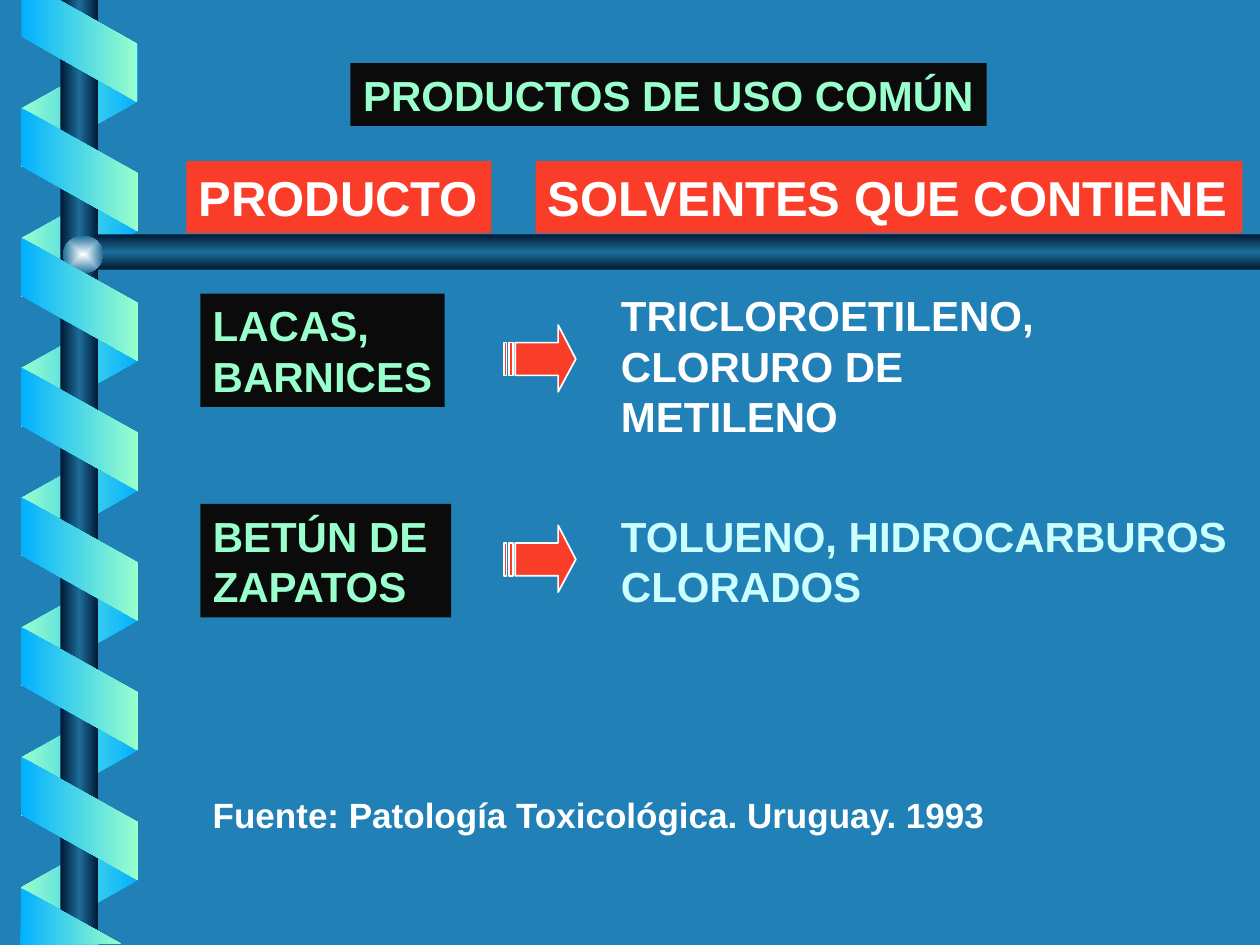
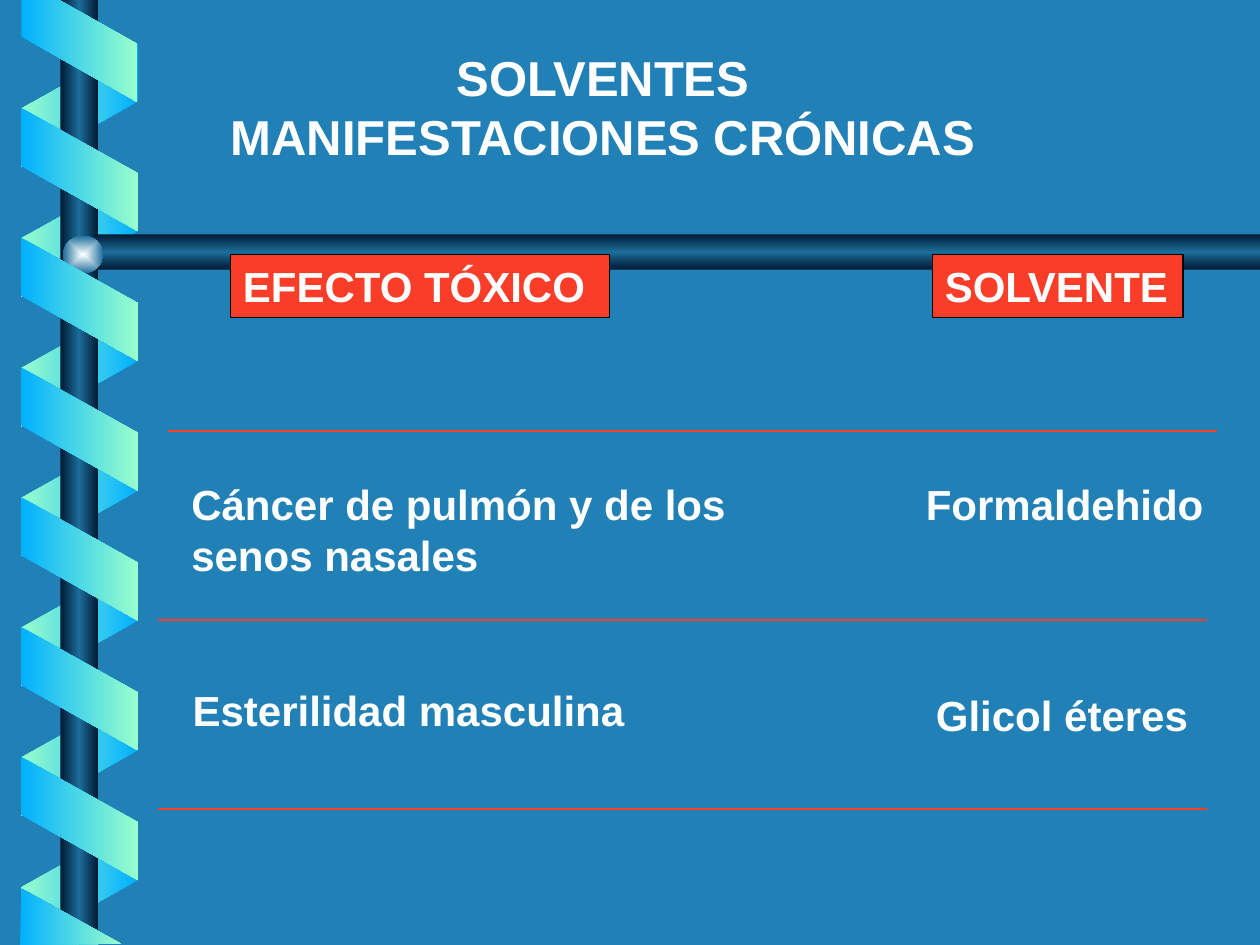
from pptx import Presentation
from pptx.dml.color import RGBColor
from pptx.enum.shapes import MSO_CONNECTOR, MSO_SHAPE
from pptx.enum.text import MSO_ANCHOR, MSO_AUTO_SIZE, PP_ALIGN
from pptx.oxml import parse_xml
from pptx.oxml.ns import nsdecls
from pptx.util import Pt
from lxml.etree import SubElement
from pptx.oxml.ns import qn

PX = 9144  # 100 px to the inch

WHITE = RGBColor(0xFF, 0xFF, 0xFF)
BLACK = RGBColor(0x00, 0x00, 0x00)
BLUE = RGBColor(0x21, 0x81, 0xB7)
INK = RGBColor(0x0B, 0x0B, 0x0B)
MINT = RGBColor(0x99, 0xFF, 0xCC)
ICE = RGBColor(0xCC, 0xFF, 0xFF)
RED = RGBColor(0xF9, 0x3D, 0x29)
SKY = RGBColor(0x01, 0xB0, 0xFF)
NAVY = RGBColor(0x00, 0x19, 0x32)
STEEL = RGBColor(0x1C, 0x6D, 0x9A)
PEARL = RGBColor(0xFE, 0xFF, 0xFF)

RIBBON = (SKY, MINT)
BEAM = (NAVY, STEEL, NAVY)
ACROSS = '<a:lin ang="0" scaled="0"/>'
DOWN = '<a:lin ang="5400000" scaled="0"/>'
CENTRE = ('<a:path path="rect"><a:fillToRect l="50000" t="50000" '
          'r="50000" b="50000"/></a:path>')


# Shapes and fills
def emu(*sizes):
    return [size * PX for size in sizes]


def shade(shape, colors, way):
    """Give a shape evenly spaced gradient stops and no outline."""
    step = 100000 // (len(colors) - 1)
    stops = "".join(f'<a:gs pos="{i * step}"><a:srgbClr val="{color}"/></a:gs>'
                    for i, color in enumerate(colors))
    shape.shadow.inherit = False
    shape.line.fill.background()
    shape.fill.background()
    old = shape._element.spPr.find(qn("a:noFill"))
    new = parse_xml(f'<a:gradFill {nsdecls("a")} rotWithShape="0">'
                    f'<a:gsLst>{stops}</a:gsLst>{way}</a:gradFill>')
    shape._element.spPr.replace(old, new)


def outline(slide, *paths):
    """Draw one freeform made of closed paths."""
    form = slide.shapes.build_freeform(*paths[0][0], scale=PX)
    form.add_line_segments(paths[0][1:])
    for path in paths[1:]:
        form.move_to(*path[0])
        form.add_line_segments(path[1:])
    return form.convert_to_shape()


def ribbon(slide, top, flip):
    band = slide.shapes.add_shape(MSO_SHAPE.PARALLELOGRAM, *emu(14, top, 98, 93))
    band.adjustments[0] = 0.56
    band.rotation = 270
    if flip:
        band._element.spPr.xfrm.set("flipH", "1")
    shade(band, RIBBON, ACROSS)


def backdrop(slide):
    """Helix, beams and knob that every slide shares."""
    for i in range(7):
        ribbon(slide, 37 + 103 * i, True)
    post = slide.shapes.add_shape(MSO_SHAPE.RECTANGLE, *emu(48, 0, 30, 750))
    shade(post, BEAM, ACROSS)
    bar = outline(slide, [(1000, 186), (76, 186), (60, 200), (76, 214), (1000, 214)])
    shade(bar, BEAM, DOWN)
    knob = slide.shapes.add_shape(MSO_SHAPE.OVAL, *emu(50, 187, 32, 30))
    shade(knob, (PEARL, STEEL), CENTRE)
    for i in range(6):
        ribbon(slide, 88 + 103 * i, False)
    ends = ([(17, 0), (17, 29), (109, 81), (109, 35), (47, 0)],
            [(96, 749), (17, 705), (16, 750)])
    for end in ends:
        shade(outline(slide, end), RIBBON, ACROSS)


# Text
def write(shape, lines, color, size, align=PP_ALIGN.LEFT):
    frame = shape.text_frame
    left = align == PP_ALIGN.LEFT
    style = {"word_wrap": left, "auto_size": MSO_AUTO_SIZE.NONE,
             "vertical_anchor": MSO_ANCHOR.TOP,
             "margin_left": 10 * PX, "margin_right": 0 if left else 10 * PX,
             "margin_top": 5 * PX, "margin_bottom": 5 * PX}
    for name, value in style.items():
        setattr(frame, name, value)
    frame.text = lines
    face = {"name": "Arial", "size": Pt(size), "bold": True}
    for para in frame.paragraphs:
        para.alignment = align
        for name, value in face.items():
            setattr(para.font, name, value)
        para.font.color.rgb = color


def title(slide, box, lines, color, size, fill=None):
    head = slide.shapes.title
    head.left, head.top, head.width, head.height = emu(*box)
    if fill is not None:
        head.fill.solid()
        head.fill.fore_color.rgb = fill
    write(head, lines, color, size, PP_ALIGN.CENTER)


def note(slide, box, lines, color=WHITE, size=24):
    write(slide.shapes.add_textbox(*emu(*box)), lines, color, size)


def label(slide, box, lines, fill, color=WHITE, size=24, edge=None):
    tag = slide.shapes.add_shape(MSO_SHAPE.RECTANGLE, *emu(*box))
    tag.shadow.inherit = False
    tag.fill.solid()
    tag.fill.fore_color.rgb = fill
    if edge is None:
        tag.line.fill.background()
    else:
        tag.line.color.rgb = edge
        tag.line.width = Pt(0.75)
    write(tag, lines, color, size)


# Arrows and rules
def stripe(left, right, top):
    return [(left, top), (left, top + 26), (right, top + 26), (right, top), (left, top)]


def arrow(slide, top):
    """Striped arrow from a product to its solvents."""
    head = [(443, 0), (443, 14), (409, 14), (409, 40), (443, 40),
            (443, 53), (457, 27), (443, 0)]
    mark = outline(slide, [(x, top + y) for x, y in head],
                   stripe(404, 407, top + 14), stripe(400, 402, top + 14))
    mark.shadow.inherit = False
    mark.fill.solid()
    mark.fill.fore_color.rgb = RED
    mark.line.color.rgb = WHITE
    mark.line.width = Pt(1)


def rule(slide, left, y):
    line = slide.shapes.add_connector(
        MSO_CONNECTOR.STRAIGHT, *emu(left, y, left + 833, y))
    line.line.color.rgb = RED
    line.line.width = Pt(1)
    SubElement(line._element.spPr, qn("a:effectLst"))


# Slides
def start(deck):
    slide = deck.slides.add_slide(deck.slide_layouts[5])
    backdrop(slide)
    return slide


def products(deck):
    slide = start(deck)
    title(slide, (278, 50, 505, 50), "PRODUCTOS DE USO COMÚN", MINT, 24, INK)
    label(slide, (148, 128, 242, 57), "PRODUCTO", RED, size=28)
    label(slide, (425, 128, 561, 57), "SOLVENTES QUE CONTIENE", RED, size=28)
    label(slide, (159, 233, 194, 90), "LACAS,\nBARNICES", INK, MINT)
    note(slide, (483, 225, 357, 130), "TRICLOROETILENO,\nCLORURO DE\nMETILENO")
    arrow(slide, 258)
    label(slide, (159, 400, 199, 90), "BETÚN DE\nZAPATOS", INK, MINT)
    note(slide, (483, 400, 511, 90), "TOLUENO, HIDROCARBUROS\nCLORADOS", ICE)
    arrow(slide, 417)
    note(slide, (159, 625, 637, 44),
         "Fuente: Patología Toxicológica. Uruguay. 1993", size=20)


def effects(deck):
    slide = start(deck)
    title(slide, (172, 33, 613, 104), "SOLVENTES\nMANIFESTACIONES CRÓNICAS", WHITE, 28)
    label(slide, (740, 202, 199, 50), "SOLVENTE", RED, edge=BLACK)
    label(slide, (183, 202, 301, 50), "EFECTO TÓXICO", RED, edge=BLACK)
    note(slide, (725, 375, 240, 50), "Formaldehido")
    note(slide, (142, 375, 453, 90), "Cáncer de pulmón y de los\nsenos nasales")
    note(slide, (733, 542, 220, 50), "Glicol éteres")
    note(slide, (143, 538, 362, 50), "Esterilidad masculina")
    for i, left in enumerate((133, 125, 125)):
        rule(slide, left, 342 + 150 * i)


def main():
    deck = Presentation()
    deck.slide_width, deck.slide_height = emu(1000, 750)
    back = deck.slide_master.background.fill
    back.solid()
    back.fore_color.rgb = BLUE
    products(deck)
    effects(deck)
    deck.save("out.pptx")


if __name__ == "__main__":
    main()
